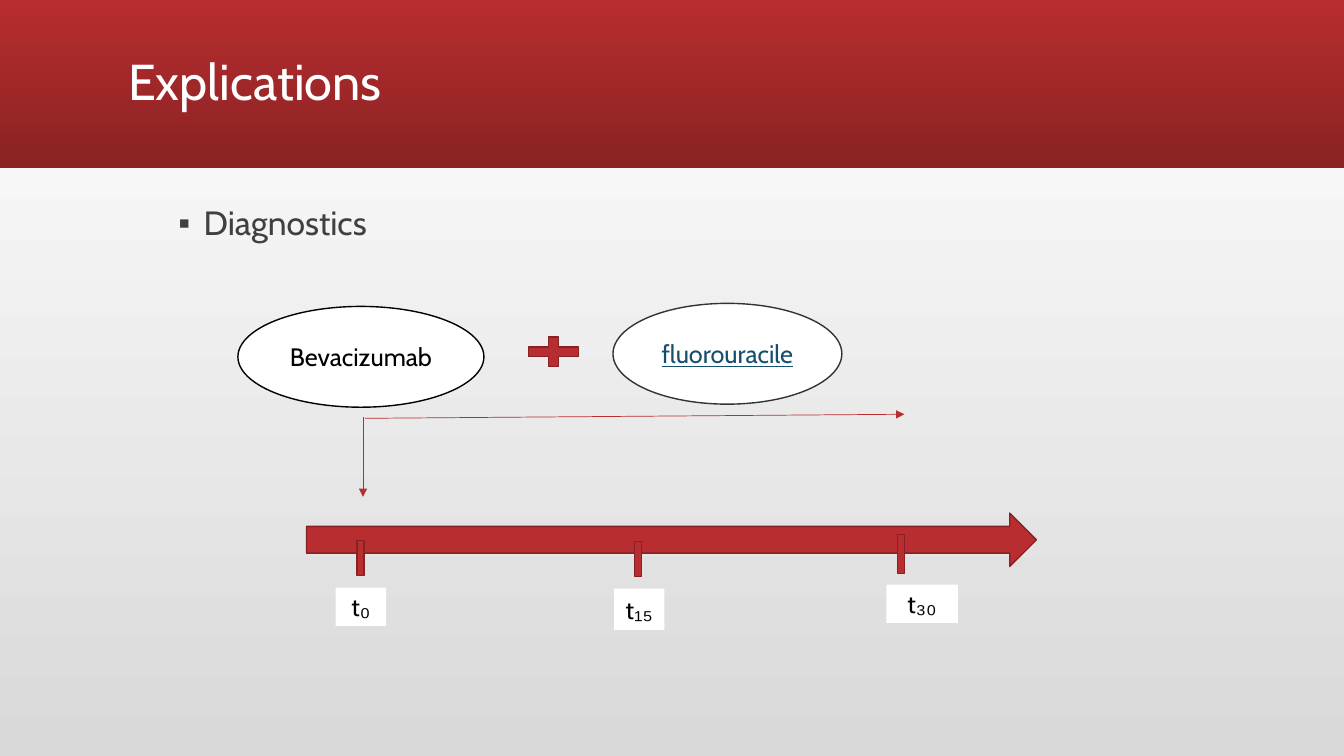
from dataclasses import dataclass

from lxml import etree
from pptx import Presentation
from pptx.dml.color import RGBColor
from pptx.enum.shapes import MSO_CONNECTOR, MSO_SHAPE
from pptx.enum.text import MSO_ANCHOR, MSO_AUTO_SIZE, PP_ALIGN
from pptx.oxml.ns import qn
from pptx.util import Inches, Pt

RECT, OVAL = MSO_SHAPE.RECTANGLE, MSO_SHAPE.OVAL
ARROW = MSO_SHAPE.RIGHT_ARROW
PLUS, MINUS = MSO_SHAPE.MATH_PLUS, MSO_SHAPE.MATH_MINUS
STRAIGHT = MSO_CONNECTOR.STRAIGHT
LEFT, CENTER = PP_ALIGN.LEFT, PP_ALIGN.CENTER
TOP, MIDDLE = MSO_ANCHOR.TOP, MSO_ANCHOR.MIDDLE
NO_FIT = MSO_AUTO_SIZE.NONE


@dataclass(frozen=True)
class Theme:
    font: str = "Cabin"
    sub_font: str = "Arial"
    title_size: int = 36
    list_size: int = 24
    label_size: int = 18
    white: str = "FFFFFF"
    black: str = "000000"
    gray: str = "D9D9D9"
    text: str = "404040"
    red: str = "B82D2F"
    edge: str = "882123"
    deep: str = "8A2223"
    ring: str = "333333"
    link: str = "164E6E"


def color(code):
    return RGBColor.from_string(code)


def blend(fill, first, last, angle):
    """Fill with a two-stop gradient; the angle runs counter-clockwise."""
    fill.gradient()
    fill.gradient_angle = angle
    for stop, code, place in zip(fill.gradient_stops, (first, last), (0, 1)):
        stop.color.rgb = color(code)
        stop.position = place


class Painter:
    def __init__(self, theme, slide):
        self.theme = theme
        self.slide = slide

    def run(self, para, text, size, code, font=None, under=None):
        run = para.add_run()
        run.text = text
        run.font.name = font or self.theme.font
        run.font.size = Pt(size)
        run.font.color.rgb = color(code)
        run.font.underline = under

    def holder(self, index, box, anchor):
        """Move a placeholder and return its first paragraph."""
        shape = self.slide.placeholders[index]
        shape.left, shape.top, shape.width, shape.height = map(Inches, box)
        frame = shape.text_frame
        frame.word_wrap = True
        frame.auto_size = NO_FIT
        frame.vertical_anchor = anchor
        para = frame.paragraphs[0]
        para.alignment = LEFT
        para.line_spacing = 0.9
        return para

    def title(self, text, box):
        para = self.holder(0, box, MIDDLE)
        self.run(para, text, self.theme.title_size, self.theme.white)

    def bullet(self, text, box):
        para = self.holder(1, box, TOP)
        para.space_before = Pt(18)
        props = para._p.get_or_add_pPr()
        props.set("marL", str(Inches(0.25)))
        props.set("indent", str(Inches(-0.25)))
        etree.SubElement(props, qn("a:buFont"), typeface=self.theme.sub_font)
        etree.SubElement(props, qn("a:buChar"), char="▪")
        self.run(para, text, self.theme.list_size, self.theme.text)

    def band(self, box):
        """Put the header gradient behind the placeholders."""
        shape = self.shape(RECT, box, self.theme.red)
        blend(shape.fill, self.theme.red, self.theme.deep, 270)
        self.slide.shapes._spTree.insert(2, shape._element)

    def shape(self, kind, box, fill, line=None, turn=0):
        shape = self.slide.shapes.add_shape(kind, *map(Inches, box))
        shape.shadow.inherit = False
        shape.rotation = turn
        shape.fill.solid()
        shape.fill.fore_color.rgb = color(fill)
        if line:
            shape.line.color.rgb = color(line)
            shape.line.width = Pt(1)
        else:
            shape.line.fill.background()
        return shape

    def label(self, kind, box, text, code, line=None, sub=None, under=None):
        shape = self.shape(kind, box, self.theme.white, line)
        frame = shape.text_frame
        frame.word_wrap = True
        frame.vertical_anchor = MIDDLE
        para = frame.paragraphs[0]
        para.alignment = CENTER
        size = self.theme.label_size
        self.run(para, text, size, code, under=under)
        if sub:
            self.run(para, sub, size, code, self.theme.sub_font)

    def arrow(self, start, end):
        line = self.slide.shapes.add_connector(
            STRAIGHT, *map(Inches, start + end))
        line.line.color.rgb = color(self.theme.red)
        line.line.width = Pt(0.5)
        etree.SubElement(line.line._get_or_add_ln(), qn("a:tailEnd"),
                         type="triangle")
        etree.SubElement(line._element.spPr, qn("a:effectLst"))


def main():
    deck = Presentation()
    deck.slide_width, deck.slide_height = Inches(13.33), Inches(7.5)
    slide = deck.slides.add_slide(deck.slide_layouts[1])
    theme = Theme()
    blend(slide.background.fill, theme.gray, theme.white, 90)

    art = Painter(theme, slide)
    art.band((0, 0, 13.33, 1.67))
    art.title("Explications", (1.17, 0.11, 11, 1.45))
    art.bullet("Diagnostics", (1.67, 2, 10, 5))

    art.shape(ARROW, (3.04, 5.09, 7.24, 0.53), theme.red, theme.edge)
    ticks = [
        ((3.34, 5.39, 0.47, 0.29), 270, "₀", (3.33, 5.83, 0.5, 0.38)),
        ((6.09, 5.4, 0.47, 0.29), 90, "₁₅", (6.09, 5.84, 0.5, 0.41)),
        ((8.67, 5.35, 0.53, 0.29), 90, "₃₀", (8.79, 5.8, 0.71, 0.38)),
    ]
    for mark, turn, day, box in ticks:
        art.shape(MINUS, mark, theme.red, theme.edge, turn)
        art.label(RECT, box, "t", theme.black, sub=day)

    art.arrow((3.6, 4.14), (3.6, 4.93))
    art.label(OVAL, (2.36, 3.04, 2.44, 1), "Bevacizumab", theme.black,
              theme.black)
    art.arrow((3.62, 4.15), (8.97, 4.11))
    art.shape(PLUS, (5.15, 3.29, 0.68, 0.4), theme.red, theme.edge)
    art.label(OVAL, (6.08, 3.01, 2.27, 1), "fluorouracile", theme.link,
              theme.ring, under=True)
    deck.save("out.pptx")


if __name__ == "__main__":
    main()
